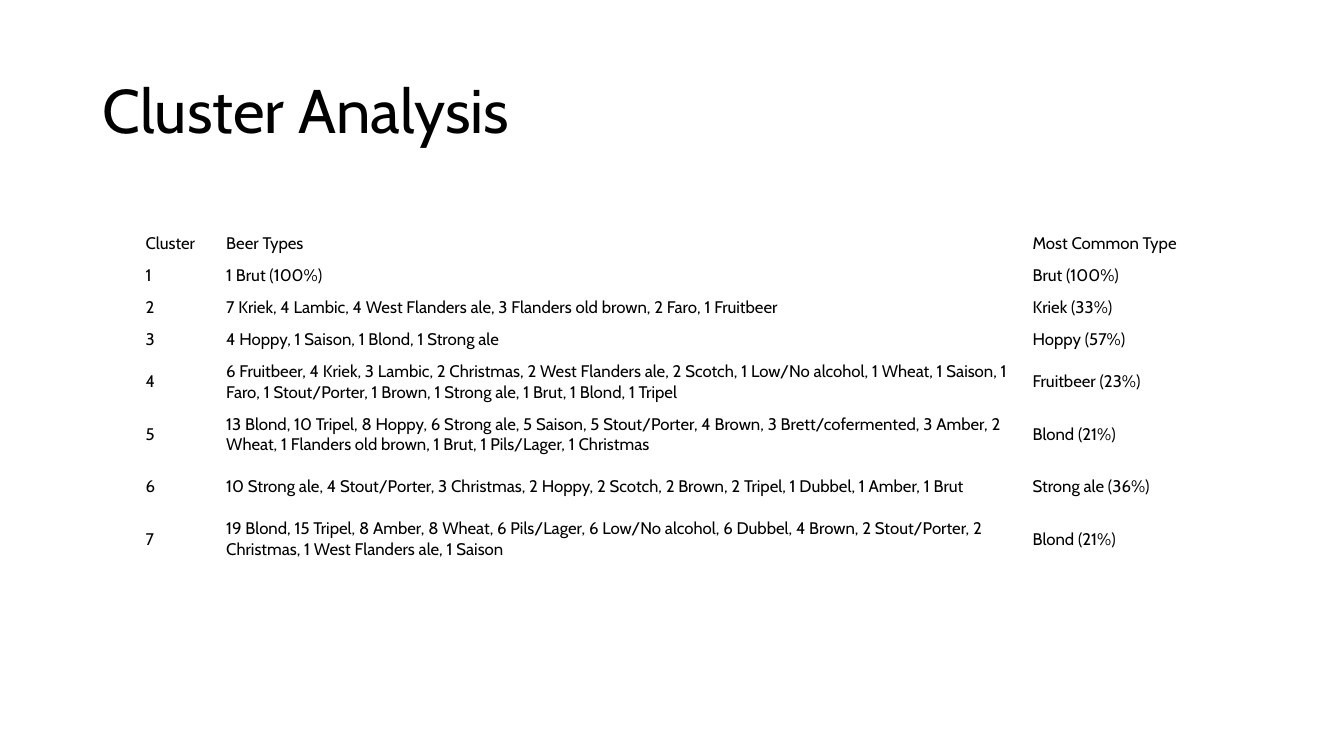
import pptx
import pptx.dml.color
import pptx.enum.text
import pptx.util

Pt = pptx.util.Pt
COLOURS = {"text": "000000", "background": "FFFFFF"}

CLUSTERS = [
    ("Cluster", "Beer Types", "Most Common Type"),
    ("1", "1 Brut (100%)", "Brut (100%)"),
    ("2", "7 Kriek, 4 Lambic, 4 West Flanders ale, 3 Flanders old brown, 2 Faro, "
          "1 Fruitbeer", "Kriek (33%)"),
    ("3", "4 Hoppy, 1 Saison, 1 Blond, 1 Strong ale", "Hoppy (57%)"),
    ("4", "6 Fruitbeer, 4 Kriek, 3 Lambic, 2 Christmas, 2 West Flanders ale, "
          "2 Scotch, 1 Low/No alcohol, 1 Wheat, 1 Saison, 1 Faro, 1 Stout/Porter, "
          "1 Brown, 1 Strong ale, 1 Brut, 1 Blond, 1 Tripel", "Fruitbeer (23%)"),
    ("5", "13 Blond, 10 Tripel, 8 Hoppy, 6 Strong ale, 5 Saison, 5 Stout/Porter, "
          "4 Brown, 3 Brett/cofermented, 3 Amber, 2 Wheat, 1 Flanders old brown, "
          "1 Brut, 1 Pils/Lager, 1 Christmas", "Blond (21%)"),
    ("6", "10 Strong ale, 4 Stout/Porter, 3 Christmas, 2 Hoppy, 2 Scotch, 2 Brown, "
          "2 Tripel, 1 Dubbel, 1 Amber, 1 Brut", "Strong ale (36%)"),
    ("7", "19 Blond, 15 Tripel, 8 Amber, 8 Wheat, 6 Pils/Lager, 6 Low/No alcohol, "
          "6 Dubbel, 4 Brown, 2 Stout/Porter, 2 Christmas, 1 West Flanders ale, "
          "1 Saison", "Blond (21%)"),
]
COLUMN_WIDTHS = [57.6, 576, 128.9]
ROW_HEIGHTS = [22.8] * 4 + [37.5] * 4


def rgb(name):
    return pptx.dml.color.RGBColor.from_string(COLOURS[name])


def write_text(tf, text, size=12, font="Cabin", colour="text", spacing=None):
    p = tf.paragraphs[0]
    p.alignment = pptx.enum.text.PP_ALIGN.LEFT
    p.line_spacing = spacing
    r = p.add_run()
    r.text = text
    r.font.size = Pt(size)
    r.font.name = font
    r.font.bold = False
    r.font.color.rgb = rgb(colour)


class SlideBuilder:
    """Holds the current slide and the cell style shared by its tables."""

    def __init__(self, prs):
        self.s = prs.slides.add_slide(prs.slide_layouts[5])
        self.anchor = pptx.enum.text.MSO_ANCHOR.MIDDLE
        self.margin_x = Pt(4.5)
        self.margin_y = Pt(2.25)

    def title(self, text, left, top, width, height):
        sp = self.s.shapes.title
        sp.left, sp.top, sp.width, sp.height = map(Pt, (left, top, width, height))
        tf = sp.text_frame
        tf.word_wrap = True
        tf.auto_size = pptx.enum.text.MSO_AUTO_SIZE.NONE
        tf.vertical_anchor = self.anchor
        write_text(tf, text, size=44, spacing=0.9)

    def table(self, rows, left, top, widths, heights):
        frame = self.s.shapes.add_table(
            len(rows), len(widths), Pt(left), Pt(top), Pt(sum(widths)), Pt(sum(heights)))
        table = frame.table
        table.first_row = table.horz_banding = False
        for column, width in zip(table.columns, widths):
            column.width = Pt(width)
        for row, height, texts in zip(table.rows, heights, rows):
            row.height = Pt(height)
            for cell, text in zip(row.cells, texts):
                self.cell(cell, text)

    def cell(self, cell, text):
        cell.fill.solid()
        cell.fill.fore_color.rgb = rgb("background")
        cell.vertical_anchor = self.anchor
        cell.margin_left = cell.margin_right = self.margin_x
        cell.margin_top = cell.margin_bottom = self.margin_y
        write_text(cell.text_frame, text)


def main():
    prs = pptx.Presentation()
    prs.slide_width, prs.slide_height = Pt(960), Pt(540)
    builder = SlideBuilder(prs)
    builder.title("Cluster Analysis", 66, 28.8, 828, 104.4)
    builder.table(CLUSTERS, 99.5, 162.8, COLUMN_WIDTHS, ROW_HEIGHTS)
    prs.save("out.pptx")


if __name__ == "__main__":
    main()
